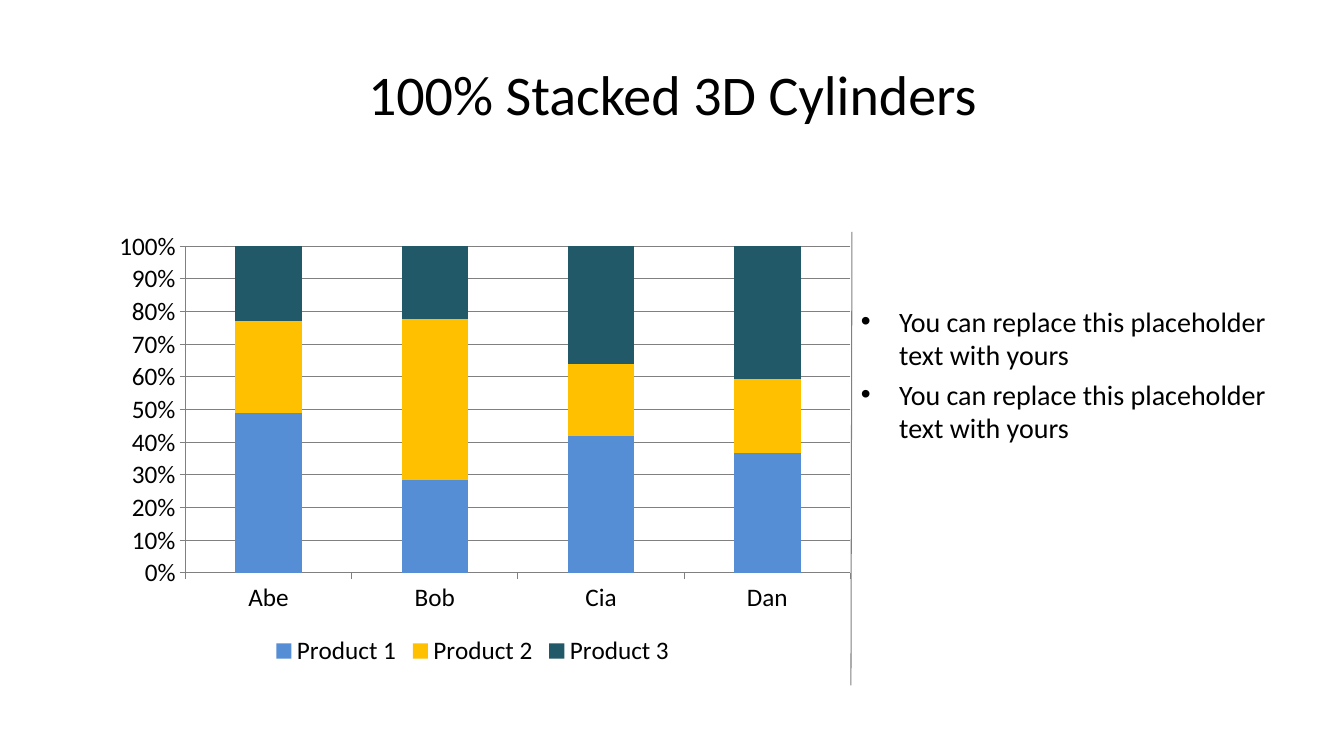
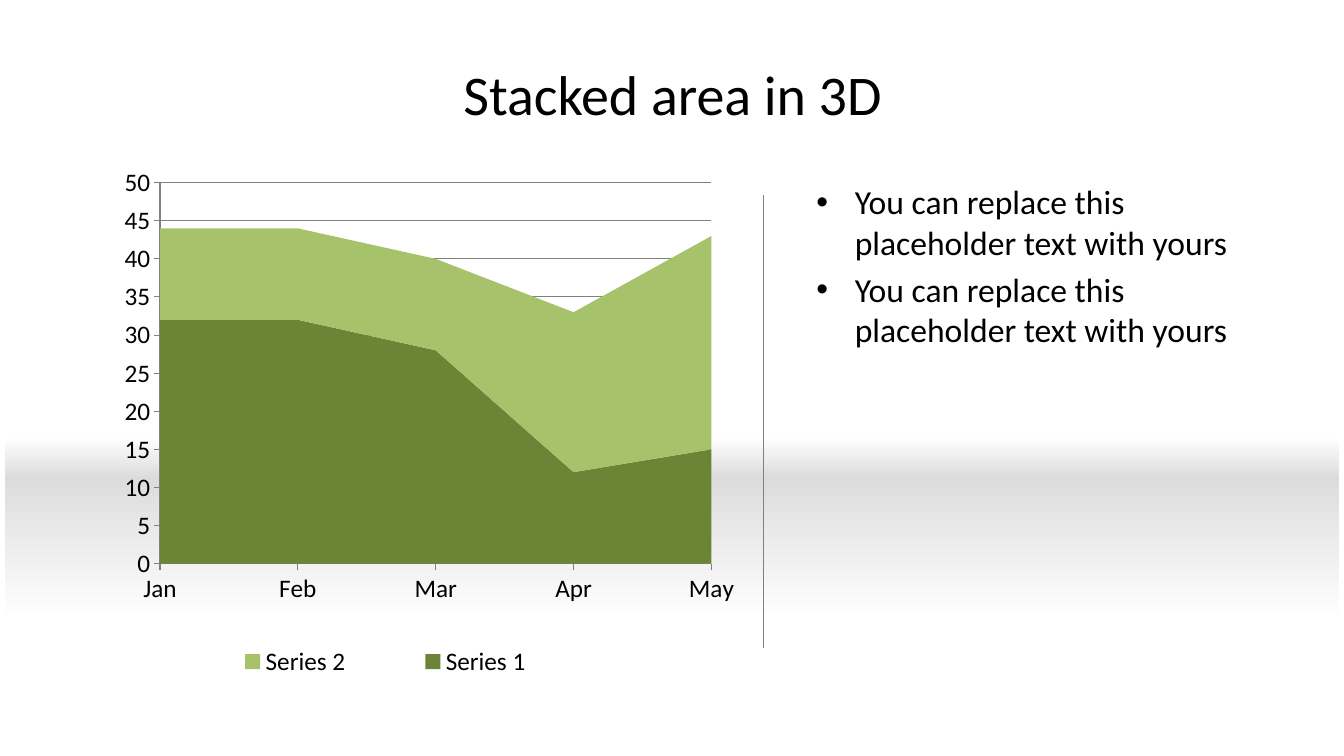
from dataclasses import dataclass

from lxml import etree
from pptx import Presentation
from pptx import util as u
from pptx.chart import data as chart_data
from pptx.dml import color
from pptx.enum import chart as charts, shapes, text
from pptx.oxml import ns

FONT = "Calibri"
BLACK, GREY, WHITE = "000000", "808080", "FFFFFF"
BULLETS = ("You can replace this placeholder text with yours",) * 2
Box = tuple[float, float, float, float]


@dataclass(frozen=True)
class Series:
    name: str
    values: tuple[int, ...]
    fill: str


@dataclass(frozen=True)
class Band:
    top: float
    height: float
    shade: str
    angle: int


@dataclass(frozen=True)
class ChartPage:
    title: str
    kind: charts.XL_CHART_TYPE
    categories: tuple[str, ...]
    series: tuple[Series, ...]
    chart_box: Box
    plot_layout: Box
    legend_position: charts.XL_LEGEND_POSITION
    number_format: str
    crossing: str
    body_box: Box
    body_size: int
    divider: Box
    legend_layout: Box | None = None
    bands: tuple[Band, ...] = ()


PAGES = (
    ChartPage(
        title="100% Stacked 3D Cylinders",
        kind=charts.XL_CHART_TYPE.COLUMN_STACKED_100,
        categories=("Abe", "Bob", "Cia", "Dan"),
        series=(
            Series("Product 1", (49, 28, 42, 37), "558ED5"),
            Series("Product 2", (28, 49, 22, 23), "FFC000"),
            Series("Product 3", (23, 22, 36, 41), "215968"),
        ),
        chart_box=(0.94, 2.22, 7.5, 4.44),
        plot_layout=(0.12, 0.05, 0.88, 0.73),
        legend_position=charts.XL_LEGEND_POSITION.BOTTOM,
        number_format="0%",
        crossing="between",
        body_box=(8.44, 2.97, 4.42, 4.03),
        body_size=20,
        divider=(8.45, 2.3, 8.44, 6.8),
    ),
    ChartPage(
        title="Stacked area in 3D",
        kind=charts.XL_CHART_TYPE.AREA_STACKED,
        categories=("Jan", "Feb", "Mar", "Apr", "May"),
        series=(
            Series("Series 1", (32, 32, 28, 12, 15), "6B8537"),
            Series("Series 2", (12, 12, 12, 21, 28), "A6C36B"),
        ),
        chart_box=(0.92, 1.55, 6.67, 5.25),
        plot_layout=(0.1, 0.05, 0.82, 0.72),
        legend_position=charts.XL_LEGEND_POSITION.RIGHT,
        number_format="General",
        crossing="midCat",
        body_box=(8, 1.75, 4.67, 5.05),
        body_size=24,
        divider=(7.57, 1.93, 7.57, 6.43),
        legend_layout=(0.12, 0.91, 0.63, 0.09),
        bands=(Band(4.75, 1.42, "DDDDDD", 270), Band(4.33, 0.43, "DBDBDB", 90)),
    ),
)


def rgb(value: str) -> color.RGBColor:
    return color.RGBColor.from_string(value)


def inches(values: Box) -> list[u.Length]:
    return [u.Inches(value) for value in values]


def style_font(font, *, size: float, fill: str = BLACK) -> None:
    font.name = FONT
    font.size = u.Pt(size)
    font.color.rgb = rgb(fill)


def add_bullet(para) -> None:
    properties = para._p.get_or_add_pPr()
    properties.set("marL", str(u.Inches(0.38)))
    properties.set("indent", str(u.Inches(-0.38)))
    etree.SubElement(properties, ns.qn("a:buFont"), typeface="Arial")
    etree.SubElement(properties, ns.qn("a:buChar"), char="•")


def write_text(frame, lines: tuple[str, ...], *, size: float,
               align=text.PP_ALIGN.LEFT, anchor=text.MSO_ANCHOR.TOP,
               bullets: bool = False) -> None:
    frame.word_wrap = True
    frame.vertical_anchor = anchor
    for index, line in enumerate(lines):
        para = frame.add_paragraph() if index else frame.paragraphs[0]
        if bullets:
            add_bullet(para)
        para.alignment = align
        if index:
            para.space_before = u.Pt(size * 0.2)
        span = para.add_run()
        span.text = line
        style_font(span.font, size=size)


def add_title(page, title: str) -> None:
    box = page.shapes.title
    box.left, box.top, box.width, box.height = inches((0.67, 0.3, 12, 1.25))
    write_text(box.text_frame, (title,), size=40,
               align=text.PP_ALIGN.CENTER, anchor=text.MSO_ANCHOR.MIDDLE)


def add_band(page, band: Band) -> None:
    """Draw a band that fades from its shade to white."""
    shape = page.shapes.add_shape(
        shapes.MSO_SHAPE.RECTANGLE, *inches((0.05, band.top, 13.23, band.height)))
    shape.shadow.inherit = False
    shape.line.fill.background()
    shape.fill.gradient()
    shape.fill.gradient_angle = band.angle
    for stop, shade in zip(shape.fill.gradient_stops, (band.shade, WHITE)):
        stop.color.rgb = rgb(shade)


def add_divider(page, ends: Box) -> None:
    line = page.shapes.add_connector(shapes.MSO_CONNECTOR.STRAIGHT, *inches(ends))
    line.line.color.rgb = rgb(GREY)
    line.line.width = u.Pt(0.75)
    etree.SubElement(line._element.spPr, ns.qn("a:effectLst"))


def make_layout(bounds: Box, *, inner: bool = False):
    """Build a manual chart layout from fractions of the chart area."""
    layout = etree.Element(ns.qn("c:layout"))
    manual = etree.SubElement(layout, ns.qn("c:manualLayout"))
    settings = [("layoutTarget", "inner")] if inner else []
    settings += [("xMode", "edge"), ("yMode", "edge")]
    settings += [(key, str(value)) for key, value in zip("xywh", bounds)]
    for key, value in settings:
        etree.SubElement(manual, ns.qn(f"c:{key}"), val=value)
    return layout


def remove_children(element, tag: str) -> None:
    for child in element.findall(ns.qn(tag)):
        element.remove(child)


def set_crossing(axis, crossing: str) -> None:
    """Set whether the axis meets categories between or at their marks."""
    element = axis._element
    remove_children(element, "c:crossBetween")
    setting = etree.Element(ns.qn("c:crossBetween"), val=crossing)
    element.find(ns.qn("c:crosses")).addnext(setting)


def style_axes(chart, content: ChartPage) -> None:
    for axis in (chart.category_axis, chart.value_axis):
        axis.major_tick_mark = charts.XL_TICK_MARK.OUTSIDE
        axis.minor_tick_mark = charts.XL_TICK_MARK.NONE
        axis.format.line.color.rgb = rgb(GREY)
    chart.category_axis.has_major_gridlines = False
    values = chart.value_axis
    values.has_major_gridlines = True
    values.major_gridlines.format.line.color.rgb = rgb(GREY)
    values.tick_labels.number_format = content.number_format
    values.tick_labels.number_format_is_linked = False
    set_crossing(values, content.crossing)


def style_legend(chart, content: ChartPage) -> None:
    chart.has_legend = True
    legend = chart.legend
    legend.position = content.legend_position
    legend.include_in_layout = False
    if content.legend_layout:
        remove_children(legend._element, "c:layout")
        position = legend._element.find(ns.qn("c:legendPos"))
        position.addnext(make_layout(content.legend_layout))


def add_chart(page, content: ChartPage) -> None:
    source = chart_data.CategoryChartData()
    source.categories = content.categories
    for series in content.series:
        source.add_series(series.name, series.values)
    chart = page.shapes.add_chart(
        content.kind, *inches(content.chart_box), source).chart
    chart.has_title = False
    style_font(chart.font, size=18)
    plot = chart.plots[0]
    plot.vary_by_categories = False
    if content.kind == charts.XL_CHART_TYPE.COLUMN_STACKED_100:
        plot.gap_width, plot.overlap = 150, 100
    for drawn, series in zip(plot.series, content.series):
        drawn.format.fill.solid()
        drawn.format.fill.fore_color.rgb = rgb(series.fill)
    style_axes(chart, content)
    style_legend(chart, content)
    plot_area = chart._chartSpace.chart.plotArea
    remove_children(plot_area, "c:layout")
    plot_area.insert(0, make_layout(content.plot_layout, inner=True))


def add_page(deck, content: ChartPage) -> None:
    page = deck.slides.add_slide(deck.slide_layouts.get_by_name("Title Only"))
    add_title(page, content.title)
    for band in content.bands:
        add_band(page, band)
    body = page.shapes.add_textbox(*inches(content.body_box))
    write_text(body.text_frame, BULLETS, size=content.body_size, bullets=True)
    add_chart(page, content)
    add_divider(page, content.divider)


def main() -> None:
    deck = Presentation()
    deck.slide_width, deck.slide_height = u.Inches(13.33), u.Inches(7.5)
    for content in PAGES:
        add_page(deck, content)
    deck.save("out.pptx")


if __name__ == "__main__":
    main()
